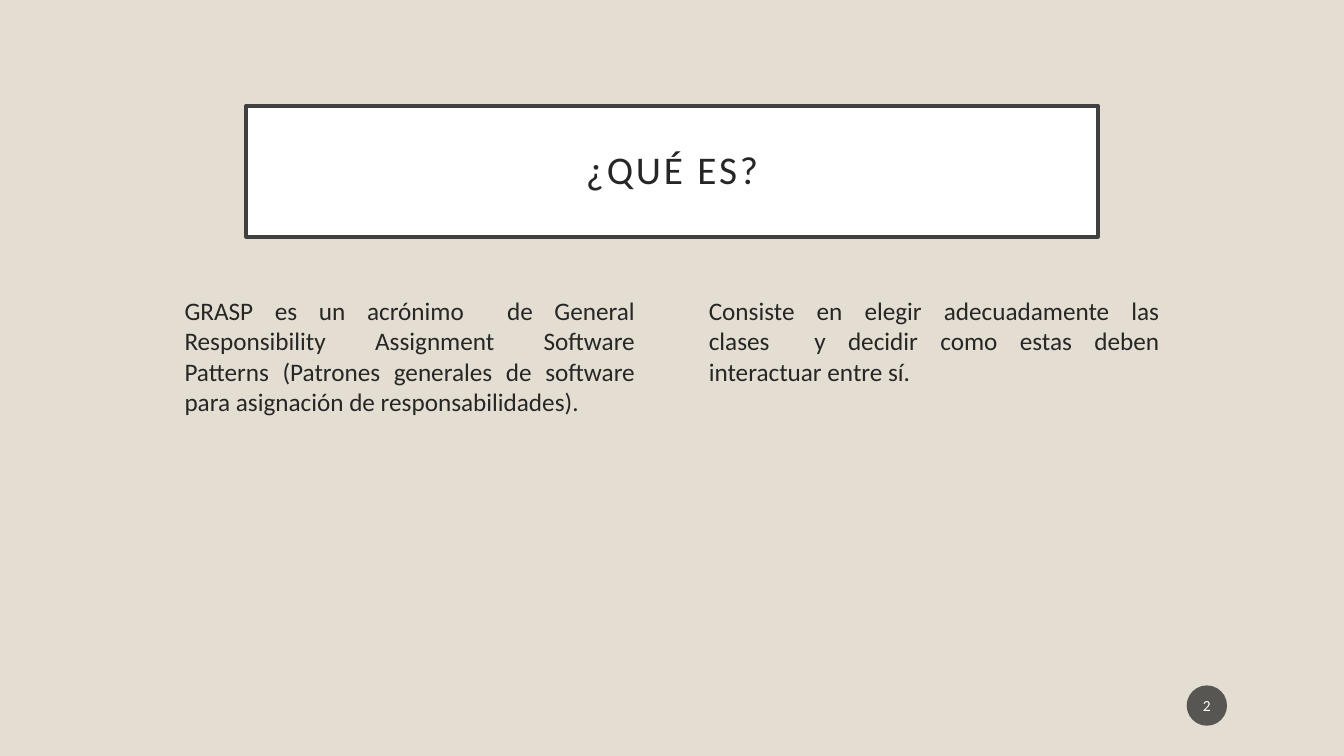
from dataclasses import dataclass
from lxml import etree
from pptx import Presentation
from pptx import util as u
from pptx.dml.color import RGBColor
from pptx.enum import shapes, text
from pptx.oxml import ns


@dataclass(frozen=True)
class Theme:
    face: str = "Calibri"
    back: str = "E3DED1"
    panel: str = "FFFFFF"
    edge: str = "404040"
    ink: str = "262626"
    badge: str = "1D1D1D"
    light: str = "FFFFFF"
    head: int = 28
    body: int = 18
    note: int = 11


THEME = Theme()
ANCHOR = text.MSO_ANCHOR
ALIGN = text.PP_ALIGN


def apply(item, form):
    for name, value in form.items():
        setattr(item, name, value)


def paint(fill, color):
    fill.solid()
    fill.fore_color.rgb = RGBColor.from_string(color)


def place(shape, box):
    names = ("left", "top", "width", "height")
    apply(shape, dict(zip(names, map(u.Inches, box))))


def write(shape, words, size, color, frame, para):
    body = shape.text_frame
    apply(body, {"word_wrap": True, "auto_size": text.MSO_AUTO_SIZE.NONE, **frame})
    body.text = words
    line = body.paragraphs[0]
    apply(line, para)
    run = line.runs[0]
    apply(run.font, {"name": THEME.face, "size": u.Pt(size), "bold": False})
    run.font.color.rgb = RGBColor.from_string(color)
    return line, run


def inset(side, end):
    return {
        "margin_left": u.Inches(side),
        "margin_right": u.Inches(side),
        "margin_top": u.Inches(end),
        "margin_bottom": u.Inches(end),
    }


def add_title(slide, words, box):
    title = slide.shapes.title
    place(title, box)
    paint(title.fill, THEME.panel)
    paint(title.line.fill, THEME.edge)
    title.line.width = u.Pt(2.5)
    frame = {"vertical_anchor": ANCHOR.MIDDLE, **inset(0.2, 0.2)}
    para = {"alignment": ALIGN.CENTER, "line_spacing": 0.9}
    line, run = write(title, words, THEME.head, THEME.ink, frame, para)
    run.font._element.set("spc", "200")


def add_body(holder, words, box):
    place(holder, box)
    frame = {"vertical_anchor": ANCHOR.TOP}
    para = {"alignment": ALIGN.JUSTIFY, "space_before": u.Pt(10)}
    line, run = write(holder, words, THEME.body, THEME.ink, frame, para)
    props = line._p.get_or_add_pPr()
    props.set("marL", "0")
    props.set("indent", "0")
    etree.SubElement(props, ns.qn("a:buNone"))


def add_badge(slide, words, box):
    badge = slide.shapes.add_shape(shapes.MSO_SHAPE.OVAL, *map(u.Inches, box))
    badge.shadow.inherit = False
    paint(badge.fill, THEME.badge)
    color = badge._element.spPr.find(".//" + ns.qn("a:srgbClr"))
    etree.SubElement(color, ns.qn("a:alpha"), val="70000")
    badge.line.fill.background()
    frame = {"vertical_anchor": ANCHOR.MIDDLE, **inset(0.02, 0.05)}
    write(badge, words, THEME.note, THEME.light, frame, {"alignment": ALIGN.CENTER})


def main():
    deck = Presentation()
    apply(deck, {"slide_width": u.Inches(13.33), "slide_height": u.Inches(7.5)})
    slide = deck.slides.add_slide(deck.slide_layouts[3])
    paint(slide.background.fill, THEME.back)
    add_title(slide, "¿QUÉ ES?", (2.44, 1.05, 8.45, 1.3))
    notes = (
        "GRASP es un acrónimo  de General Responsibility Assignment Software "
        "Patterns (Patrones generales de software para asignación de "
        "responsabilidades).",
        "Consiste en elegir adecuadamente las clases  y decidir como estas "
        "deben interactuar entre sí.",
    )
    for col, words in enumerate(notes):
        box = (1.73 + 5.2 * col, 2.88, 4.67, 3.39)
        add_body(slide.placeholders[col + 1], words, box)
    add_badge(slide, "2", (11.77, 6.8, 0.4, 0.4))
    deck.save("out.pptx")


if __name__ == "__main__":
    main()
